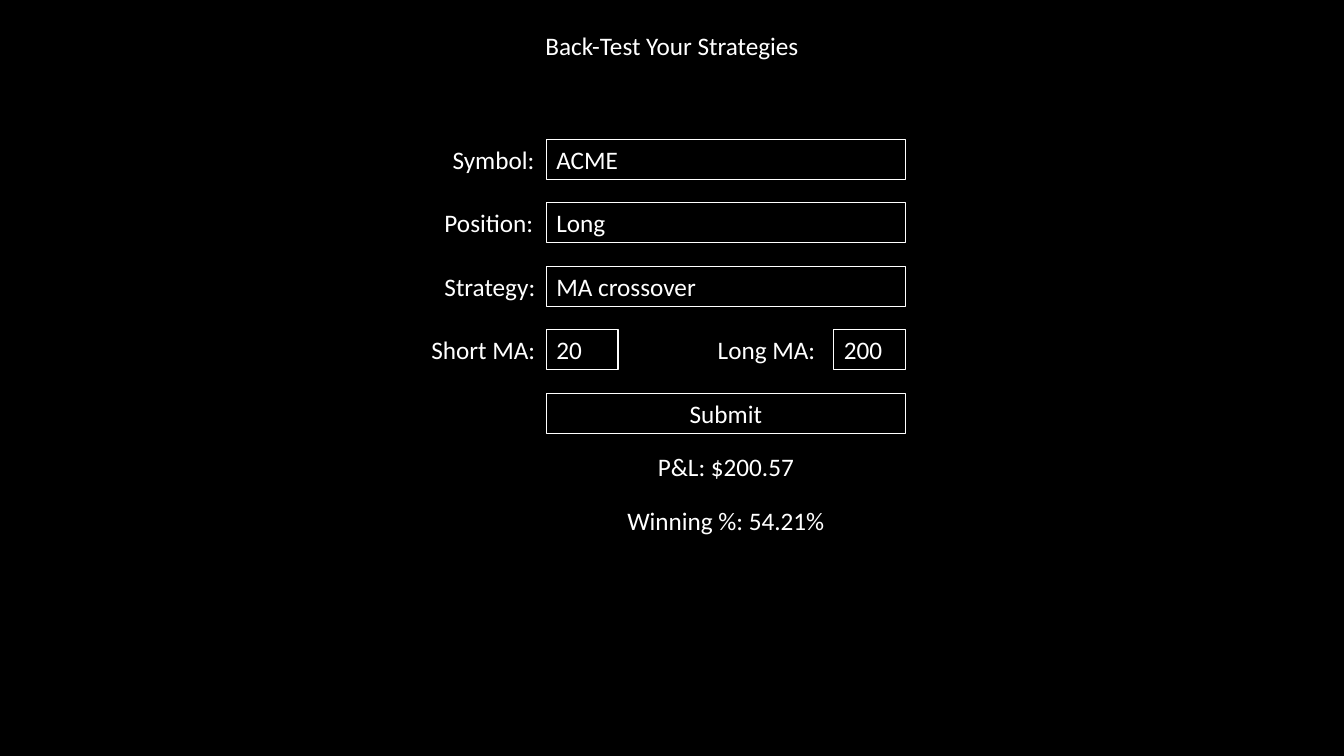
from pptx import Presentation
from pptx.dml.color import RGBColor
from pptx.enum.shapes import MSO_SHAPE
from pptx.enum.text import MSO_ANCHOR, MSO_AUTO_SIZE, PP_ALIGN
from pptx.util import Emu, Pt

PX = 9144  # EMU per px, 100 px to the inch
BLACK = RGBColor(0x00, 0x00, 0x00)
WHITE = RGBColor(0xFF, 0xFF, 0xFF)

ROW_HEIGHT = 40
FORM_TOP = 138
ROW_PITCH = 63
FIELD_LEFT = 542
FIELD_WIDTH = 356
SMALL_WIDTH = 71
FIELD_RIGHT = FIELD_LEFT + FIELD_WIDTH
SMALL_LEFT = FIELD_RIGHT - SMALL_WIDTH

# label, label width, value, field width
ROWS = [
    ("Symbol:", 103, "ACME", FIELD_WIDTH),
    ("Position:", 111, "Long", FIELD_WIDTH),
    ("Strategy:", 111, "MA crossover", FIELD_WIDTH),
    ("Short MA:", 124, "20", SMALL_WIDTH),
]
RESULTS = [("P&L: $200.57", 443), ("Winning %: 54.21%", 496)]


def px(*lengths):
    return [Emu(length * PX) for length in lengths]


def write(shape, text, alignment):
    text_frame = shape.text_frame
    text_frame.text = text
    text_frame.word_wrap = True
    text_frame.auto_size = MSO_AUTO_SIZE.SHAPE_TO_FIT_TEXT
    text_frame.vertical_anchor = MSO_ANCHOR.TOP
    paragraph = text_frame.paragraphs[0]
    paragraph.alignment = alignment
    font = paragraph.runs[0].font
    font.name = "Calibri"
    font.size = Pt(18)
    font.color.rgb = WHITE


def add_title(slide, text):
    title = slide.shapes.title
    title.left, title.top, title.width, title.height = px(480, 25, 373, ROW_HEIGHT)
    write(title, text, PP_ALIGN.CENTER)


def add_label(slide, text, left, top, width, alignment=PP_ALIGN.LEFT):
    label = slide.shapes.add_textbox(*px(left, top, width, ROW_HEIGHT))
    write(label, text, alignment)


def add_field(slide, text, left, top, width, alignment=PP_ALIGN.LEFT):
    field = slide.shapes.add_shape(MSO_SHAPE.RECTANGLE, *px(left, top, width, ROW_HEIGHT))
    field.shadow.inherit = False
    field.fill.background()
    field.line.color.rgb = WHITE
    field.line.width = Pt(0.75)
    write(field, text, alignment)


def main():
    presentation = Presentation()
    presentation.slide_width, presentation.slide_height = px(1333, 750)
    slide = presentation.slides.add_slide(presentation.slide_layouts[5])
    slide.background.fill.solid()
    slide.background.fill.fore_color.rgb = BLACK

    add_title(slide, "Back-Test Your Strategies")

    row_tops = [FORM_TOP + row * ROW_PITCH for row in range(len(ROWS) + 1)]
    for top, (label, label_width, value, field_width) in zip(row_tops, ROWS):
        add_label(slide, label, FIELD_LEFT - label_width, top, label_width)
        add_field(slide, value, FIELD_LEFT, top, field_width)

    add_label(slide, "Long MA:", SMALL_LEFT - 125, row_tops[3], 124)
    add_field(slide, "200", SMALL_LEFT, row_tops[3], SMALL_WIDTH)
    add_field(slide, "Submit", FIELD_LEFT, row_tops[4], FIELD_WIDTH, PP_ALIGN.CENTER)

    for text, top in RESULTS:
        add_label(slide, text, FIELD_LEFT, top, FIELD_WIDTH, PP_ALIGN.CENTER)

    presentation.save("out.pptx")


if __name__ == "__main__":
    main()
